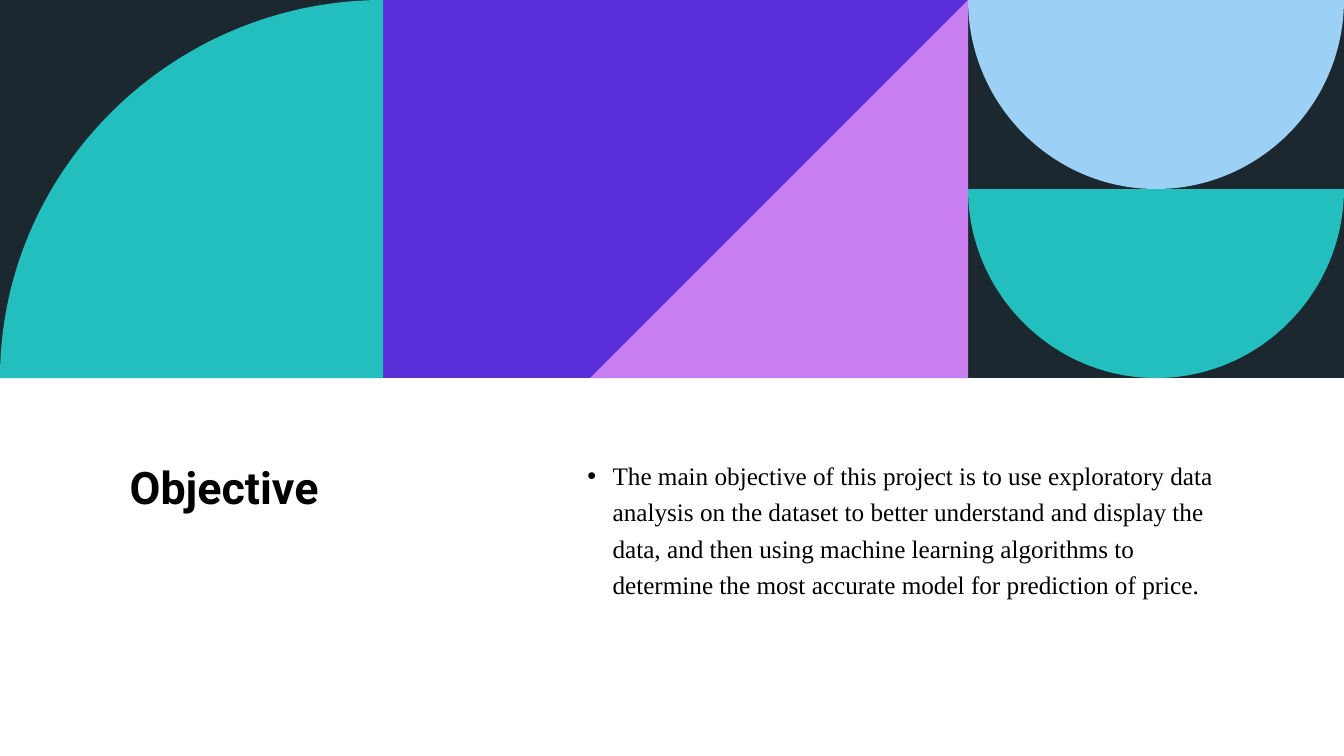
from dataclasses import dataclass

from lxml.etree import SubElement
from pptx import Presentation
from pptx.dml.color import RGBColor as Rgb
from pptx.enum.shapes import MSO_SHAPE as Preset
from pptx.oxml.ns import qn
from pptx.slide import Slide
from pptx.util import Emu, Pt

PX = 9525
WIDE, HIGH = 1280, 720
BAND = 360
LEFT, RIGHT = 365, 922
HALF = BAND // 2
MID = (RIGHT + WIDE) // 2
BEND = 0.55

Point = tuple[float, float]


@dataclass(frozen=True)
class Theme:
    paper: str = "FFFFFF"
    dark: str = "1B2830"
    teal: str = "22BFBE"
    violet: str = "592FD9"
    pink: str = "CA7FF1"
    sky: str = "9CD0F4"
    ink: str = "000000"
    head: str = "Roboto"
    body: str = "Times New Roman"
    large: int = 32
    small: int = 18


@dataclass(frozen=True)
class Panel:
    left: int
    right: int
    high: int
    color: str


@dataclass(frozen=True)
class Figure:
    points: list[Point]
    color: str
    curves: int = 0


@dataclass(frozen=True)
class Label:
    left: int
    width: int
    text: str
    font: str
    size: int
    bold: bool
    space: float
    indent: int = 0


def bend(start: Point, corner: Point, end: Point) -> list[Point]:
    pulls = [
        tuple(a + (c - a) * BEND for a, c in zip(tip, corner)) for tip in (start, end)
    ]
    return [*pulls, end]


def bowl(top: int, color: str) -> Figure:
    low = top + HALF
    left, right, base = (RIGHT, top), (WIDE, top), (MID, low)
    curves = bend(right, (WIDE, low), base) + bend(base, (RIGHT, low), left)
    return Figure([left, right, *curves], color, 2)


def paint(shape, color: str) -> None:
    shape.shadow.inherit = False
    shape.fill.solid()
    shape.fill.fore_color.rgb = Rgb.from_string(color)
    shape.line.fill.background()


def draw_panel(slide: Slide, panel: Panel) -> None:
    width = panel.right - panel.left
    shape = slide.shapes.add_shape(
        Preset.RECTANGLE, Emu(panel.left * PX), 0, Emu(width * PX), Emu(panel.high * PX)
    )
    paint(shape, panel.color)


def draw_figure(slide: Slide, figure: Figure) -> None:
    first, *rest = [(round(x * PX), round(y * PX)) for x, y in figure.points]
    outline = slide.shapes.build_freeform(*first)
    outline.add_line_segments(rest, close=False)
    shape = outline.convert_to_shape()
    trail = next(shape._element.iter(qn("a:path")))
    lines = trail.findall(qn("a:lnTo"))
    tail = lines[len(lines) - 3 * figure.curves :]
    for i in range(0, len(tail), 3):
        curve = SubElement(trail, qn("a:cubicBezTo"))
        for line in tail[i : i + 3]:
            curve.append(line[0])
            trail.remove(line)
    SubElement(trail, qn("a:close"))
    paint(shape, figure.color)


def draw_label(slide: Slide, label: Label, ink: str) -> None:
    box = slide.shapes.add_textbox(
        *(Emu(n * PX) for n in (label.left, 428, label.width, 211))
    )
    frame = box.text_frame
    frame.word_wrap = True
    frame.text = label.text
    para = frame.paragraphs[0]
    para.line_spacing = label.space
    if label.indent:
        props = para._p.get_or_add_pPr()
        props.set("marL", str(label.indent * PX))
        props.set("indent", str(-label.indent * PX))
        SubElement(props, qn("a:buFont"), typeface="Arial")
        SubElement(props, qn("a:buChar"), char="•")
    font = para.runs[0].font
    font.name, font.size, font.bold = label.font, Pt(label.size), label.bold
    font.color.rgb = Rgb.from_string(ink)


def main() -> None:
    theme = Theme()
    panels = [
        Panel(0, WIDE, HIGH, theme.paper),
        Panel(0, LEFT, BAND, theme.dark),
        Panel(LEFT, RIGHT, BAND, theme.violet),
        Panel(RIGHT, WIDE, BAND, theme.dark),
    ]
    peak, foot = (LEFT, 0), (0, BAND)
    figures = [
        Figure([(LEFT, BAND), peak, *bend(peak, (0, 0), foot)], theme.teal, 1),
        Figure([(RIGHT, 0), (RIGHT, BAND), (RIGHT - BAND, BAND)], theme.pink),
        bowl(0, theme.sky),
        bowl(HALF, theme.teal),
    ]
    labels = [
        Label(114, 382, "Objective", theme.head, theme.large, True, 1.1),
        Label(
            550,
            617,
            "The main objective of this project is to use exploratory data analysis "
            "on the dataset to better understand and display the data, and then using "
            "machine learning algorithms to determine the most accurate model for "
            "prediction of price.",
            theme.body,
            theme.small,
            False,
            1.2,
            24,
        ),
    ]
    deck = Presentation()
    deck.slide_width, deck.slide_height = Emu(WIDE * PX), Emu(HIGH * PX)
    slide = deck.slides.add_slide(deck.slide_layouts[6])
    for panel in panels:
        draw_panel(slide, panel)
    for figure in figures:
        draw_figure(slide, figure)
    for label in labels:
        draw_label(slide, label, theme.ink)
    deck.save("out.pptx")


if __name__ == "__main__":
    main()
